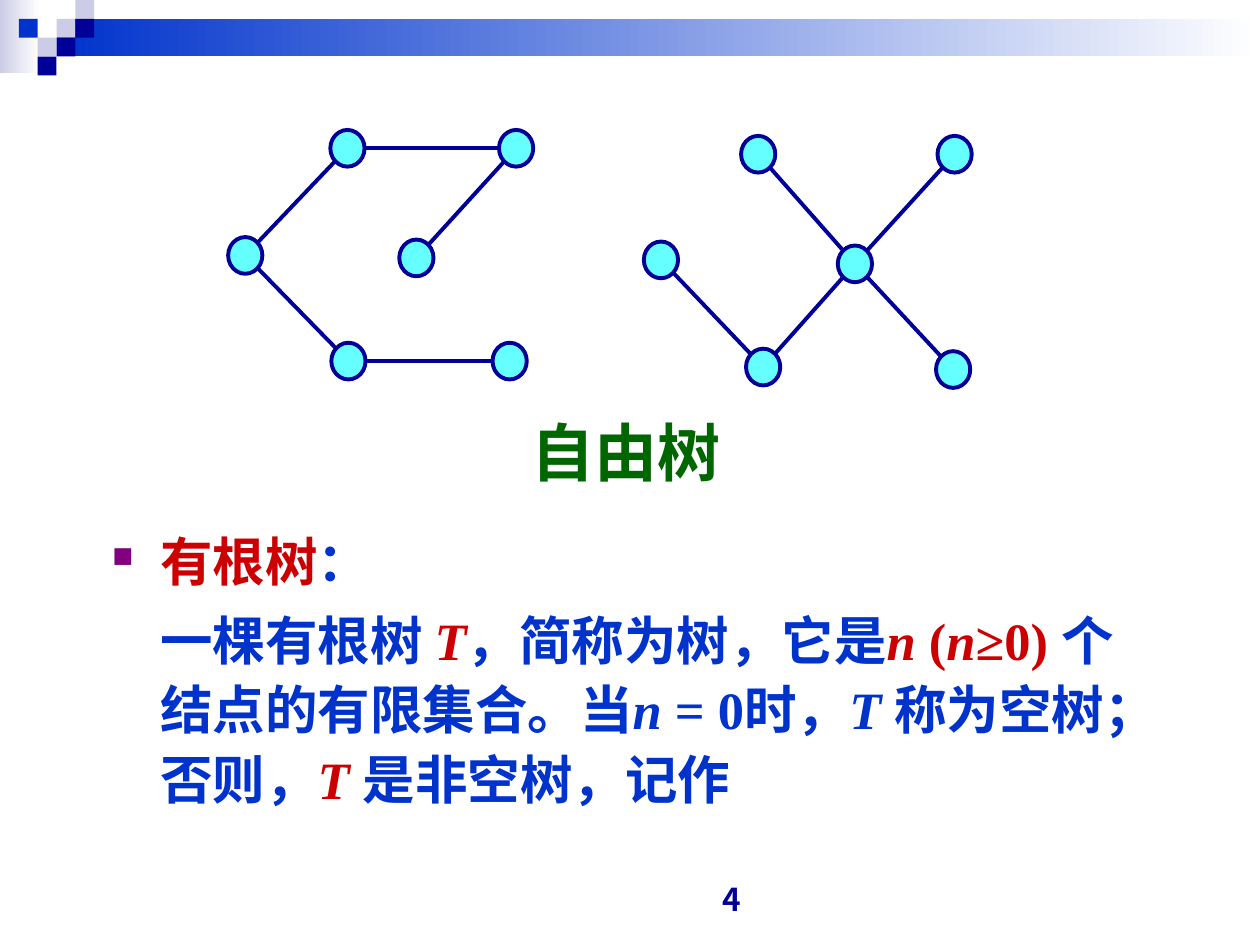
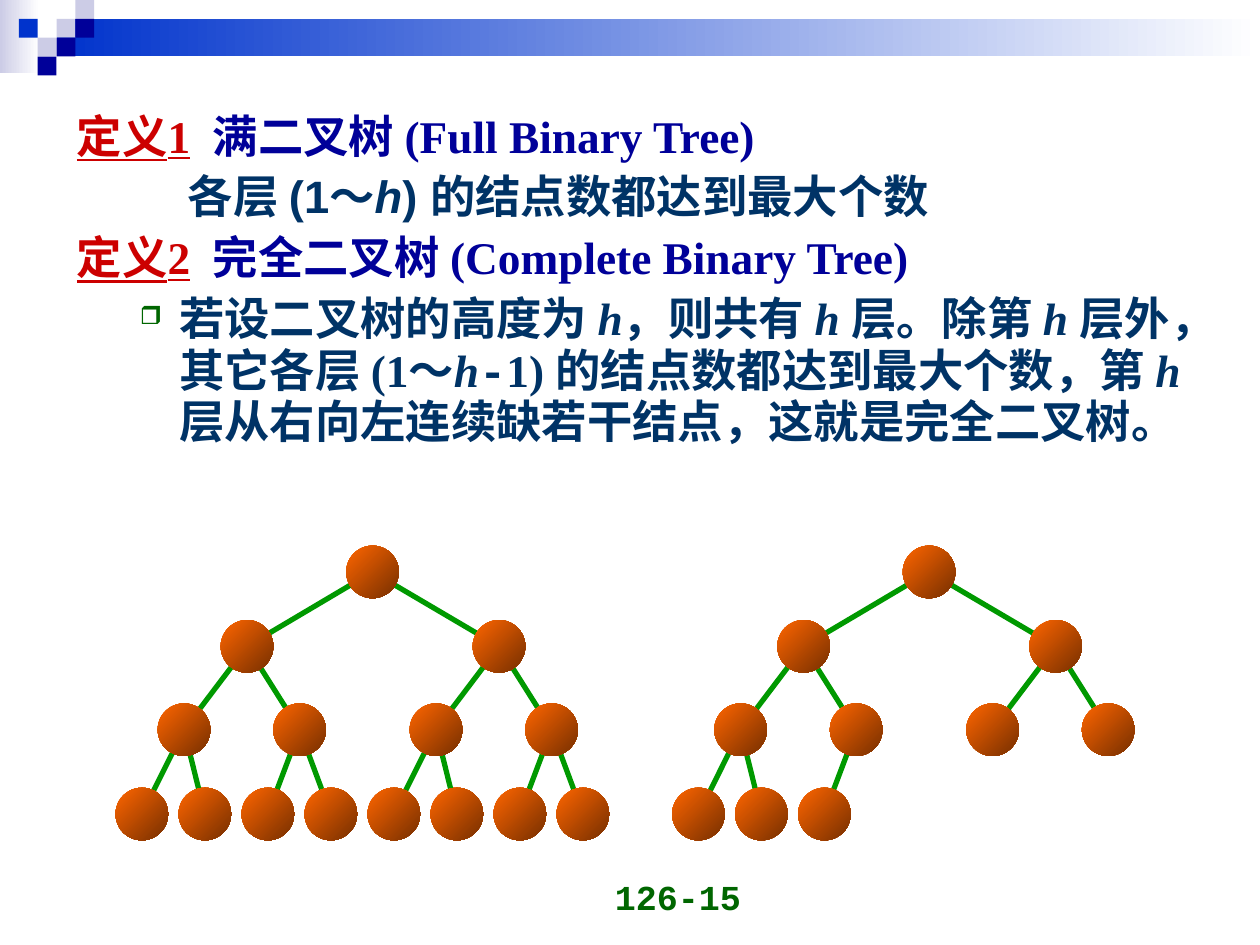
from math import hypot

from lxml.etree import SubElement
from pptx import Presentation
from pptx.dml.color import RGBColor
from pptx.enum.shapes import MSO_CONNECTOR as Link, MSO_SHAPE as Shape
from pptx.enum.text import MSO_ANCHOR as Anchor, PP_ALIGN as Align
from pptx.oxml.ns import qn
from pptx.util import Cm, Pt

BLUE = RGBColor(0x00, 0x33, 0xCC)
NAVY = RGBColor(0x00, 0x00, 0x99)
LILAC = RGBColor(0xCC, 0xCC, 0xE6)
WHITE = RGBColor(0xFF, 0xFF, 0xFF)
RED = RGBColor(0xCC, 0x00, 0x00)
GREEN = RGBColor(0x00, 0x66, 0x00)
LEAF = RGBColor(0x00, 0x99, 0x00)
PURPLE = RGBColor(0x80, 0x00, 0x80)
TEAL = RGBColor(0x00, 0x33, 0x66)
CYAN = RGBColor(0x66, 0xFF, 0xFF)
ORANGE = RGBColor(0xFF, 0x66, 0x00)
BROWN = RGBColor(0x76, 0x2F, 0x00)

ARIAL, TIMES, MONO = "Arial", "Times New Roman", "Courier New"
ASIAN = "Noto Sans CJK JP"
CELL = 0.38  # side of a corner square, in cm


# Basic parts

def add_fill(shape, first, last=None, angle=0):
    if last is None:
        shape.fill.solid()
        shape.fill.fore_color.rgb = first
        return
    shape.fill.gradient()
    shape.fill.gradient_angle = angle
    for stop, colour, place in zip(shape.fill.gradient_stops,
                                   (first, last), (0, 1)):
        stop.color.rgb = colour
        stop.position = place


def add_form(slide, kind, box, *fill):
    shape = slide.shapes.add_shape(kind, *map(Cm, box))
    shape.shadow.inherit = False
    shape.line.fill.background()
    add_fill(shape, *fill)
    return shape


def add_edge(slide, start, end, trim, colour, width):
    """Join two node centres, leaving out `trim` cm at each end."""
    dx, dy = end[0] - start[0], end[1] - start[1]
    part = trim / hypot(dx, dy)
    ends = (start[0] + dx * part, start[1] + dy * part,
            end[0] - dx * part, end[1] - dy * part)
    edge = slide.shapes.add_connector(Link.STRAIGHT, *map(Cm, ends))
    edge.line.color.rgb = colour
    edge.line.width = Pt(width)
    SubElement(edge._element.spPr, qn("a:effectLst"))


def add_text(slide, box, anchor=Anchor.TOP):
    frame = slide.shapes.add_textbox(*map(Cm, box)).text_frame
    frame.word_wrap = True
    frame.vertical_anchor = anchor
    return frame


def add_run(para, size, font, text, colour, marks=""):
    """Add bold text; marks may hold i (italic) and u (underline)."""
    run = para.add_run()
    run.text = text
    face = run.font
    face.size, face.name, face.bold = Pt(size), font, True
    face.italic = "i" in marks
    face.underline = "u" in marks
    face.color.rgb = colour
    SubElement(run._r.get_or_add_rPr(), qn("a:ea"), typeface=ASIAN)


def set_list(para, left, hang, bullet=None):
    """Set the hanging indent, the bullet and tab stops at every inch."""
    props = para._p.get_or_add_pPr()
    props.set("marL", str(Cm(left)))
    props.set("indent", str(-Cm(hang)))
    if bullet:
        sign, colour = bullet
        tint = SubElement(props, qn("a:buClr"))
        SubElement(tint, qn("a:srgbClr"), val=str(colour))
        SubElement(props, qn("a:buSzPct"), val="55000")
        SubElement(props, qn("a:buChar"), char=sign)
    else:
        SubElement(props, qn("a:buNone"))
    tabs = SubElement(props, qn("a:tabLst"))
    for stop in range(8):
        SubElement(tabs, qn("a:tab"), pos=str(Cm(2.54 * stop)), algn="l")


def add_body(slide, box, paras, size, lines, gap):
    """Each paragraph is (left, hang, bullet, runs)."""
    frame = add_text(slide, box)
    for i, (left, hang, bullet, runs) in enumerate(paras):
        para = frame.add_paragraph() if i else frame.paragraphs[0]
        set_list(para, left, hang, bullet)
        para.line_spacing = lines
        para.space_before = Pt(gap if i else 0)
        for font, *rest in runs:
            add_run(para, size, font, *rest)


def add_line(slide, box, anchor, align, *style):
    para = add_text(slide, box, anchor).paragraphs[0]
    para.alignment = align
    add_run(para, *style)


# Shared look

def add_decor(slide):
    add_form(slide, Shape.RECTANGLE, (0, 0, 0.79, 1.47), LILAC, WHITE)
    add_form(slide, Shape.RECTANGLE, (3 * CELL, CELL, 24.26, 2 * CELL),
             BLUE, WHITE)
    squares = ((3, 1, LILAC), (4, 0, LILAC), (4, 1, NAVY), (2, 2, LILAC),
               (1, 1, BLUE), (3, 2, NAVY), (2, 3, NAVY))
    for col, row, colour in squares:
        add_form(slide, Shape.RECTANGLE,
                 (col * CELL, row * CELL, CELL, CELL), colour)


def add_number(slide, *style):
    add_line(slide, (9.27, 17.35, 5.92, 1.27), Anchor.BOTTOM, Align.RIGHT,
             *style)


def new_slide(deck):
    slide = deck.slides.add_slide(deck.slide_layouts[6])
    add_decor(slide)
    return slide


# Trees

def add_graph(slide, left, top, size, spots, edges, pen, fill, rim=None):
    """Place nodes by their corners relative to (left, top)."""
    wide, high = size
    mids = [(left + x + wide / 2, top + y + high / 2) for x, y in spots]
    for a, b in edges:
        add_edge(slide, mids[a], mids[b], 0.42 * wide, *pen)
    for x, y in spots:
        node = add_form(slide, Shape.OVAL, (left + x, top + y, wide, high),
                        *fill)
        if rim:
            node.line.color.rgb, node.line.width = rim[0], Pt(rim[1])


def add_free(slide, left, top, spots, edges):
    pen = (NAVY, 2.25)
    add_graph(slide, left, top, (0.69, 0.74), spots, edges, pen, (CYAN,), pen)


def add_binary(slide, left, top, count):
    """Draw the first `count` nodes of a four-level tree, level by level."""
    levels = ((0, (4.65,)), (1.5, (2.12, 7.2)),
              (3.18, (0.85, 3.18, 5.93, 8.26)),
              (4.88, [1.27 * i for i in range(8)]))
    spots = [(x, y) for y, row in levels for x in row][:count]
    edges = [((i - 1) // 2, i) for i in range(1, count)]
    add_graph(slide, left, top, (1.06, 1.06), spots, edges, (LEAF, 3),
              (ORANGE, BROWN, 315))


# Slides

def free_slide(deck):
    slide = new_slide(deck)
    add_number(slide, 18, ASIAN, "4", NAVY)
    add_line(slide, (1.19, 8.2, 22.86, 1.8), Anchor.MIDDLE, Align.CENTER,
             36, ARIAL, "自由树", GREEN)
    head = [(TIMES, "有根树", RED), (TIMES, "：", BLUE)]
    rule = [
        (TIMES, "\t一棵有根树 ", BLUE), (TIMES, "T", RED, "i"),
        (TIMES, "，简称为树，它是", BLUE), (TIMES, "n", RED, "i"),
        (TIMES, " (", RED), (TIMES, "n", RED, "i"), (TIMES, "≥0) ", RED),
        (TIMES, "个结点的有限集合。当", BLUE), (TIMES, "n", BLUE, "i"),
        (TIMES, " = 0时，", BLUE), (TIMES, "T ", BLUE, "i"),
        (TIMES, "称为空树；否则，", BLUE), (TIMES, "T ", RED, "i"),
        (TIMES, "是非空树，记作", BLUE),
    ]
    add_body(slide, (2.01, 10.41, 21.67, 7.8),
             [(0.97, 0.97, ("■", PURPLE), head), (0.97, 0.97, None, rule)],
             30, 1.1, 5.6)
    add_free(slide, 4.6, 2.62,
             ((5.46, 0), (2.06, 0), (0, 2.16), (3.45, 2.21), (2.08, 4.29),
              (5.33, 4.29)),
             ((0, 1), (1, 2), (0, 3), (2, 4), (4, 5)))
    add_free(slide, 12.98, 2.74,
             ((1.96, 0), (5.92, 0), (0, 2.13), (3.91, 2.21), (2.06, 4.29),
              (5.89, 4.34)),
             ((0, 3), (1, 3), (2, 4), (3, 4), (3, 5)))


def binary_slide(deck):
    slide = new_slide(deck)
    add_number(slide, 20, MONO, "126-15", GREEN)
    add_binary(slide, 2.33, 11, 15)
    add_binary(slide, 13.55, 11, 10)
    full = [(TIMES, "定义1", RED, "u"),
            (TIMES, "  满二叉树 (Full Binary Tree)", NAVY)]
    note = [(ARIAL, "\t\t各层 (1～", TEAL), (ARIAL, "h", TEAL, "i"),
            (ARIAL, ") 的结点数都达到最大个数", TEAL)]
    whole = [(TIMES, "定义2", RED, "u"),
             (TIMES, "  完全二叉树 (Complete Binary Tree)", NAVY)]
    rule = [
        (TIMES, "若设二叉树的高度为 ", TEAL), (TIMES, "h", TEAL, "i"),
        (TIMES, "，则共有 ", TEAL), (TIMES, "h ", TEAL, "i"),
        (TIMES, "层。除第 ", TEAL), (TIMES, "h ", TEAL, "i"),
        (TIMES, "层外，其它各层 (1～", TEAL), (TIMES, "h", TEAL, "i"),
        (MONO, "-", TEAL), (TIMES, "1) 的结点数都达到最大个数，第 ", TEAL),
        (TIMES, "h ", TEAL, "i"),
        (TIMES, "层从右向左连续缺若干结点，这就是完全二叉树。", TEAL),
    ]
    paras = [(0.97, 0.97, None, runs) for runs in (full, note, whole)]
    paras.append((2.06, 0.79, ("❒", GREEN), rule))
    add_body(slide, (1.3, 2.13, 22.86, 8.31), paras, 25.9, 0.95, 5.2)


def main():
    deck = Presentation()
    deck.slide_width, deck.slide_height = Cm(25.4), Cm(19.05)
    free_slide(deck)
    binary_slide(deck)
    deck.save("out.pptx")


if __name__ == "__main__":
    main()
